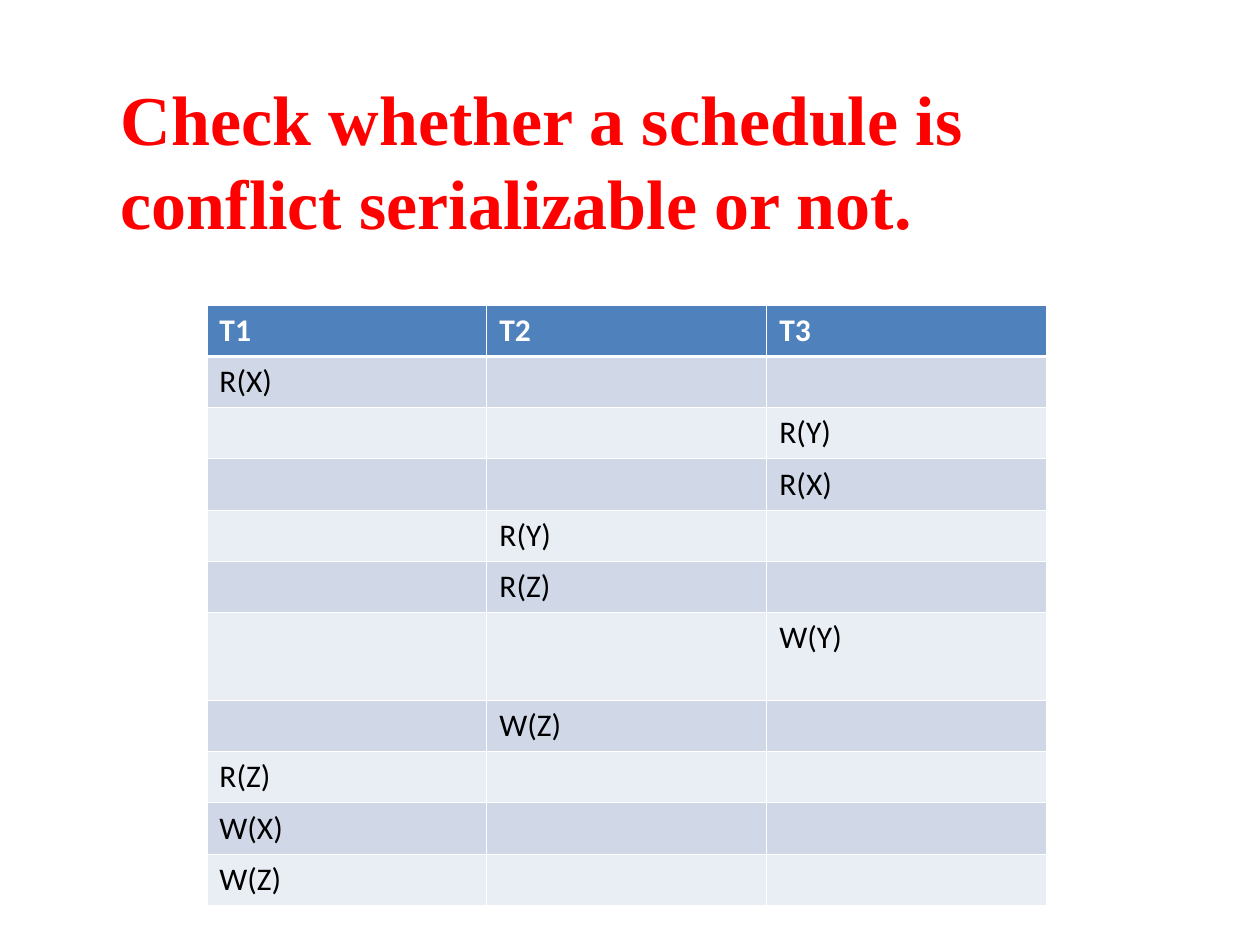
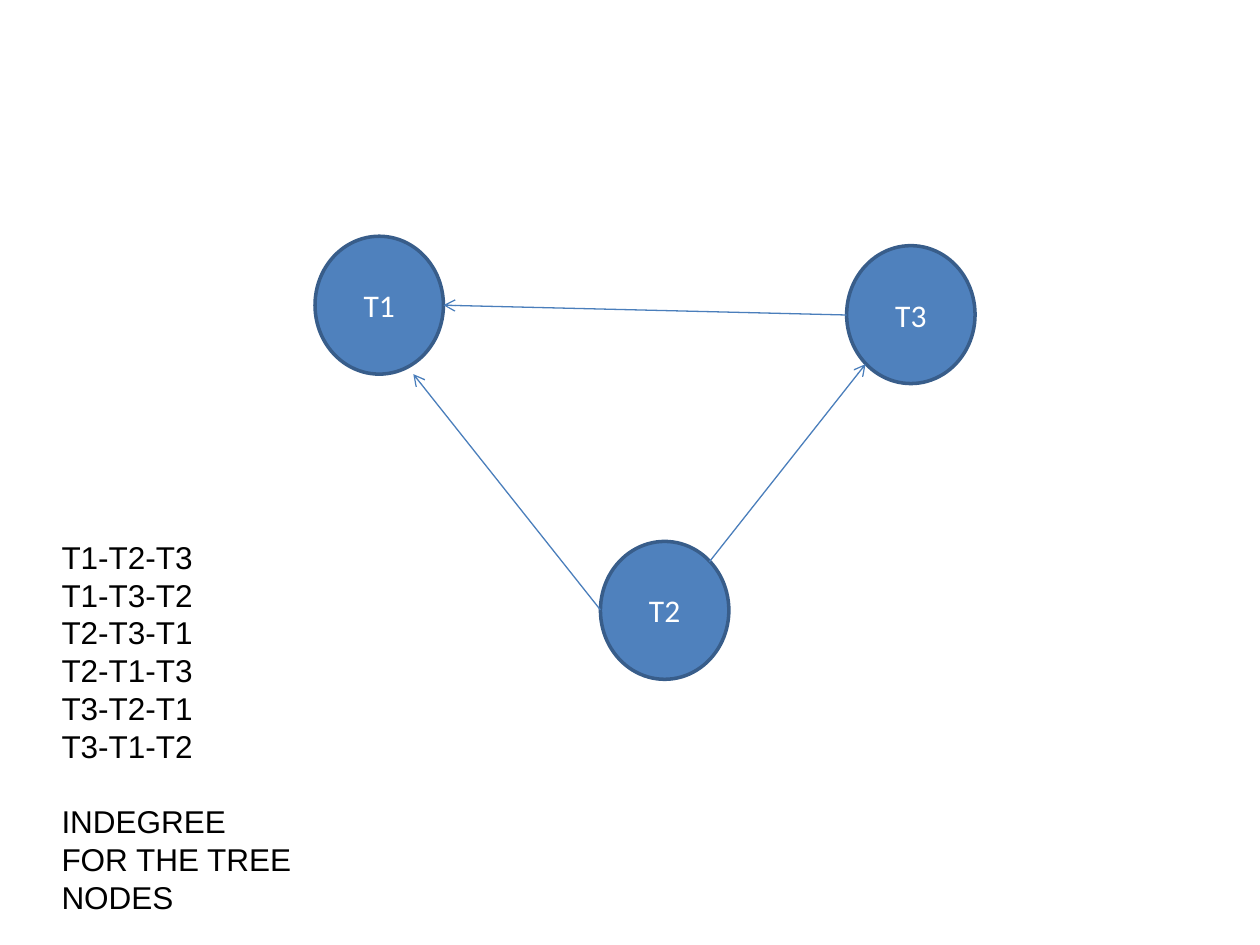
from lxml.etree import SubElement
from pptx import Presentation
from pptx.dml.color import RGBColor
from pptx.enum.shapes import MSO_CONNECTOR, MSO_SHAPE
from pptx.enum.text import MSO_ANCHOR, MSO_AUTO_SIZE, PP_ALIGN
from pptx.oxml import parse_xml
from pptx.oxml.ns import nsdecls, qn
from pptx.util import Pt

HUES = {
    "title": "FF0000", "text": "000000", "light": "FFFFFF",
    "blue": "4F81BD", "rim": "385D8A", "arrow": "4A7EBB",
    "odd": "D0D8E8", "even": "E9EDF4",
}
FONTS = {
    "title": {"name": "Times New Roman", "size": Pt(40), "bold": True},
    "head": {"name": "Calibri", "size": Pt(18), "bold": True},
    "body": {"name": "Calibri", "size": Pt(18), "bold": False},
    "list": {"name": "Arial", "size": Pt(18), "bold": False},
}


def style(para, kind, hue):
    for key, value in FONTS[kind].items():
        setattr(para.font, key, value)
    para.font.color.rgb = RGBColor.from_string(HUES[hue])


def edge(cell, widths):
    """Draw white cell borders, with widths in points by side."""
    props = cell._tc.get_or_add_tcPr()
    for spot, side in enumerate("LRTB"):
        props.insert(spot, parse_xml(
            f'<a:ln{side} {nsdecls("a")} w="{Pt(widths[side])}"><a:solidFill>'
            f'<a:srgbClr val="{HUES["light"]}"/></a:solidFill></a:ln{side}>'))


deck = Presentation()
deck.slide_width, deck.slide_height = Pt(720), Pt(540)

# Slide 1: the schedule
slide = deck.slides.add_slide(deck.slide_layouts[5])
title = slide.shapes.title
title.left, title.top, title.width, title.height = map(Pt, (61.9, 39.6, 607.7, 103.7))
frame = title.text_frame
frame.text = "Check whether a schedule is conflict serializable or not."
for key, value in {"word_wrap": True, "auto_size": MSO_AUTO_SIZE.NONE,
                   "vertical_anchor": MSO_ANCHOR.TOP}.items():
    setattr(frame, key, value)
para = frame.paragraphs[0]
para.alignment, para.line_spacing = PP_ALIGN.LEFT, Pt(48)
style(para, "title", "title")

# Each step: column of its transaction, operation
STEPS = [(0, "R(X)"), (2, "R(Y)"), (2, "R(X)"), (1, "R(Y)"), (1, "R(Z)"),
         (2, "W(Y)"), (1, "W(Z)"), (0, "R(Z)"), (0, "W(X)"), (0, "W(Z)")]
HEADS = ["T1", "T2", "T3"]
TALL = 6
rows = [HEADS] + [[step if col == c else "" for c in range(3)] for col, step in STEPS]
grid = slide.shapes.add_table(len(rows), 3, Pt(118.2), Pt(174.5), Pt(480), Pt(342.7)).table
for r, row in enumerate(rows):
    grid.rows[r].height = Pt(50.4 if r == TALL else 29.23)
    band = "blue" if r == 0 else "odd" if r % 2 else "even"
    for c, text in enumerate(row):
        cell = grid.cell(r, c)
        cell.text = text
        cell.fill.solid()
        cell.fill.fore_color.rgb = RGBColor.from_string(HUES[band])
        edge(cell, {"L": 0.45, "R": 0.45, "T": 1.47 if r == 1 else 0.45,
                    "B": 1.47 if r == 0 else 0.45})
        style(cell.text_frame.paragraphs[0], "body" if r else "head",
              "text" if r else "light")

# Slide 2: the precedence graph
slide = deck.slides.add_slide(deck.slide_layouts[6])
NODES = {"T3": (483.8, 140.4), "T1": (180, 135), "T2": (343.1, 309.4)}
for name, (left, top) in NODES.items():
    node = slide.shapes.add_shape(MSO_SHAPE.OVAL, Pt(left), Pt(top), Pt(73.4), Pt(78.8))
    node.shadow.inherit = False
    node.fill.solid()
    node.fill.fore_color.rgb = RGBColor.from_string(HUES["blue"])
    node.line.color.rgb = RGBColor.from_string(HUES["rim"])
    node.line.width = Pt(2)
    node.text_frame.text = name
    node.text_frame.vertical_anchor = MSO_ANCHOR.MIDDLE
    para = node.text_frame.paragraphs[0]
    para.alignment = PP_ALIGN.CENTER
    style(para, "body", "light")

EDGES = [(483.8, 180, 253.4, 174.4), (405.4, 321, 494.6, 208.1),
         (343.1, 348.5, 236.2, 213.8)]
for ends in EDGES:
    link = slide.shapes.add_connector(MSO_CONNECTOR.STRAIGHT, *map(Pt, ends))
    link.line.color.rgb = RGBColor.from_string(HUES["arrow"])
    link.line.width = Pt(0.75)
    SubElement(link.line._get_or_add_ln(), qn("a:tailEnd"), type="arrow")
    SubElement(link._element.spPr, qn("a:effectLst"))

ORDERS = ["T1-T2-T3", "T1-T3-T2", "T2-T3-T1", "T2-T1-T3", "T3-T2-T1", "T3-T1-T2"]
NOTE = "INDEGREE FOR THE TREE NODES"
box = slide.shapes.add_textbox(Pt(28.1), Pt(303.8), Pt(146.2), Pt(223.2))
frame = box.text_frame
frame.word_wrap = True
frame.text = "\n".join(ORDERS + [NOTE])
for para in frame.paragraphs:
    para.line_spacing = Pt(21.6)
    style(para, "list", "text")
frame.paragraphs[-1].space_before = Pt(21.6)

deck.save("out.pptx")
